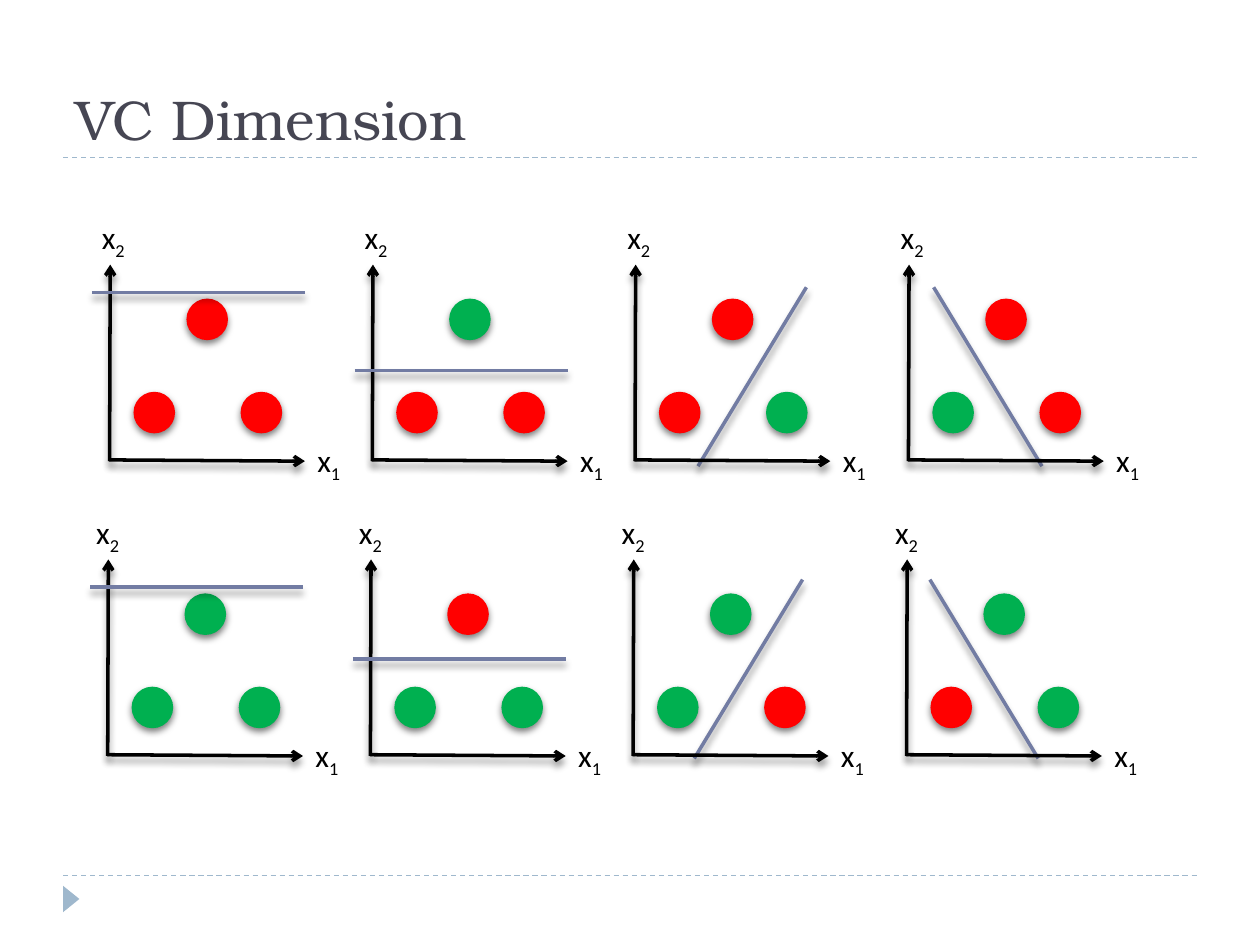
from dataclasses import dataclass

from lxml import etree
from pptx import Presentation
from pptx import util as u
from pptx.dml.color import RGBColor
from pptx.enum import dml, shapes, text
from pptx.oxml import ns

BLACK = RGBColor(0x00, 0x00, 0x00)
RED = RGBColor(0xFF, 0x00, 0x00)
GREEN = RGBColor(0x00, 0xB0, 0x50)
SLATE = RGBColor(0x72, 0x7C, 0xA3)
PALE_BLUE = RGBColor(0x9F, 0xB8, 0xCD)
TITLE_GREY = RGBColor(0x46, 0x46, 0x53)

# The slide is a grid of 100 columns by 75 rows of square cells.
SLIDE_WIDTH, SLIDE_HEIGHT = u.Inches(10), u.Inches(7.5)
CELL = SLIDE_WIDTH / 100

Point = tuple[float, float]

AXIS_LENGTH = 15.5
DOT_SIZE = 3.3
DOT_OFFSETS = ((1.9, -5.5), (6.1, -12.9), (10.4, -5.5))  # left, top, right
COLUMN_ORIGINS = (8.7, 29.55, 50.4, 72.1)


@dataclass(frozen=True)
class Row:
    origin: float
    shift: float
    label_shift: float
    middle: float
    slant_nudge: Point
    odd_color: RGBColor
    main_color: RGBColor


@dataclass(frozen=True)
class Split:
    """A separating line and the dot (if any) that it sets apart."""
    start: Point
    end: Point
    odd_dot: int | None
    slanted: bool = False


ROWS = (
    Row(36.6, 0, -1.6, -7.2, (0, 0), GREEN, RED),
    Row(60, -0.15, -1.9, -7.7, (-0.15, -0.2), RED, GREEN),
)


def splits(row: Row) -> tuple[Split, ...]:
    return (
        Split((-1.4, -13.4), (15.5, -13.4), None),
        Split((-1.4, row.middle), (15.5, row.middle), 1),
        Split((5, 0.4), (13.6, -13.8), 2, slanted=True),
        Split((10.6, 0.4), (2, -13.8), 0, slanted=True),
    )


def cells(*values: float) -> list[u.Emu]:
    return [u.Emu(round(value * CELL)) for value in values]


def move(point: Point, offset: Point) -> Point:
    return point[0] + offset[0], point[1] + offset[1]


def set_shadow(shape, distance: float = 0, opacity: int = 0) -> None:
    """Give a downward shadow, or an empty effect list when opacity is 0."""
    properties = shape._element.spPr
    effects = etree.SubElement(properties, ns.qn("a:effectLst"))
    if opacity:
        shadow = etree.SubElement(
            effects, ns.qn("a:outerShdw"), blurRad=str(u.Pt(4)),
            dist=str(u.Pt(distance)), dir="5400000", rotWithShape="0")
        color = etree.SubElement(shadow, ns.qn("a:srgbClr"), val=str(BLACK))
        etree.SubElement(color, ns.qn("a:alpha"), val=str(opacity * 1000))


def add_line(slide, start: Point, end: Point, color: RGBColor, width: float = 2,
             arrow: bool = False, dashed: bool = False) -> None:
    line = slide.shapes.add_connector(
        shapes.MSO_CONNECTOR.STRAIGHT, *cells(*start, *end))
    line.line.color.rgb = color
    line.line.width = u.Pt(width)
    if dashed:
        line.line.dash_style = dml.MSO_LINE.DASH
        set_shadow(line)
    else:
        set_shadow(line, distance=3.4, opacity=40)
    if arrow:
        etree.SubElement(line.line._get_or_add_ln(), ns.qn("a:tailEnd"), type="arrow")


def add_filled_shape(slide, kind, corner: Point, size: Point, color: RGBColor):
    shape = slide.shapes.add_shape(kind, *cells(*corner, *size))
    shape.shadow.inherit = False
    shape.fill.solid()
    shape.fill.fore_color.rgb = color
    shape.line.fill.background()
    return shape


def add_dot(slide, corner: Point, color: RGBColor) -> None:
    dot = add_filled_shape(slide, shapes.MSO_SHAPE.OVAL, corner, (DOT_SIZE, DOT_SIZE), color)
    dot._element.spPr.remove(dot._element.spPr.find(ns.qn("a:effectLst")))
    set_shadow(dot, distance=2, opacity=50)


def add_axis_label(slide, corner: Point, index: str) -> None:
    frame = slide.shapes.add_textbox(*cells(*corner, 4.1, 4)).text_frame
    frame.word_wrap = False
    frame.auto_size = text.MSO_AUTO_SIZE.SHAPE_TO_FIT_TEXT
    paragraph = frame.paragraphs[0]
    paragraph.font.name = "Calibri"
    paragraph.font.size = u.Pt(18)
    paragraph.font.color.rgb = BLACK
    paragraph.add_run().text = "x"
    subscript = paragraph.add_run()
    subscript.text = index
    subscript.font._element.set("baseline", "-25000")


def add_panel(slide, origin: Point, row: Row, split: Split) -> None:
    add_line(slide, origin, move(origin, (0.05, -AXIS_LENGTH - 0.1)), BLACK, arrow=True)
    add_axis_label(slide, move(origin, (AXIS_LENGTH, -2.1)), "1")
    add_axis_label(slide, move(origin, (row.label_shift, -19.75)), "2")
    for number, offset in enumerate(DOT_OFFSETS):
        color = row.odd_color if number == split.odd_dot else row.main_color
        add_dot(slide, move(origin, offset), color)
    base = move(origin, row.slant_nudge) if split.slanted else origin
    add_line(slide, move(base, split.start), move(base, split.end), SLATE)
    add_line(slide, move(origin, (-0.05, -0.1)), move(origin, (AXIS_LENGTH, 0)),
             BLACK, arrow=True)


def add_title(slide, title: str) -> None:
    frame = slide.shapes.add_textbox(*cells(5, 1.7, 90, 10.8)).text_frame
    frame.word_wrap = True
    frame.vertical_anchor = text.MSO_ANCHOR.BOTTOM
    paragraph = frame.paragraphs[0]
    paragraph.text = title
    paragraph.font.name = "TeX Gyre Bonum"
    paragraph.font.size = u.Pt(32)
    paragraph.font.color.rgb = TITLE_GREY


def main() -> None:
    presentation = Presentation()
    presentation.slide_width, presentation.slide_height = SLIDE_WIDTH, SLIDE_HEIGHT
    slide = presentation.slides.add_slide(presentation.slide_layouts[6])

    for height in (69.5, 12.5):
        add_line(slide, (5, height), (95, height), PALE_BLUE, width=0.75, dashed=True)
    marker = add_filled_shape(slide, shapes.MSO_SHAPE.ISOSCELES_TRIANGLE,
                              (4.6, 70.7), (2.1, 1.3), PALE_BLUE)
    marker.rotation = 90
    add_title(slide, "VC Dimension")

    for row in ROWS:
        for left, split in zip(COLUMN_ORIGINS, splits(row)):
            add_panel(slide, (left + row.shift, row.origin), row, split)

    presentation.save("out.pptx")


if __name__ == "__main__":
    main()
